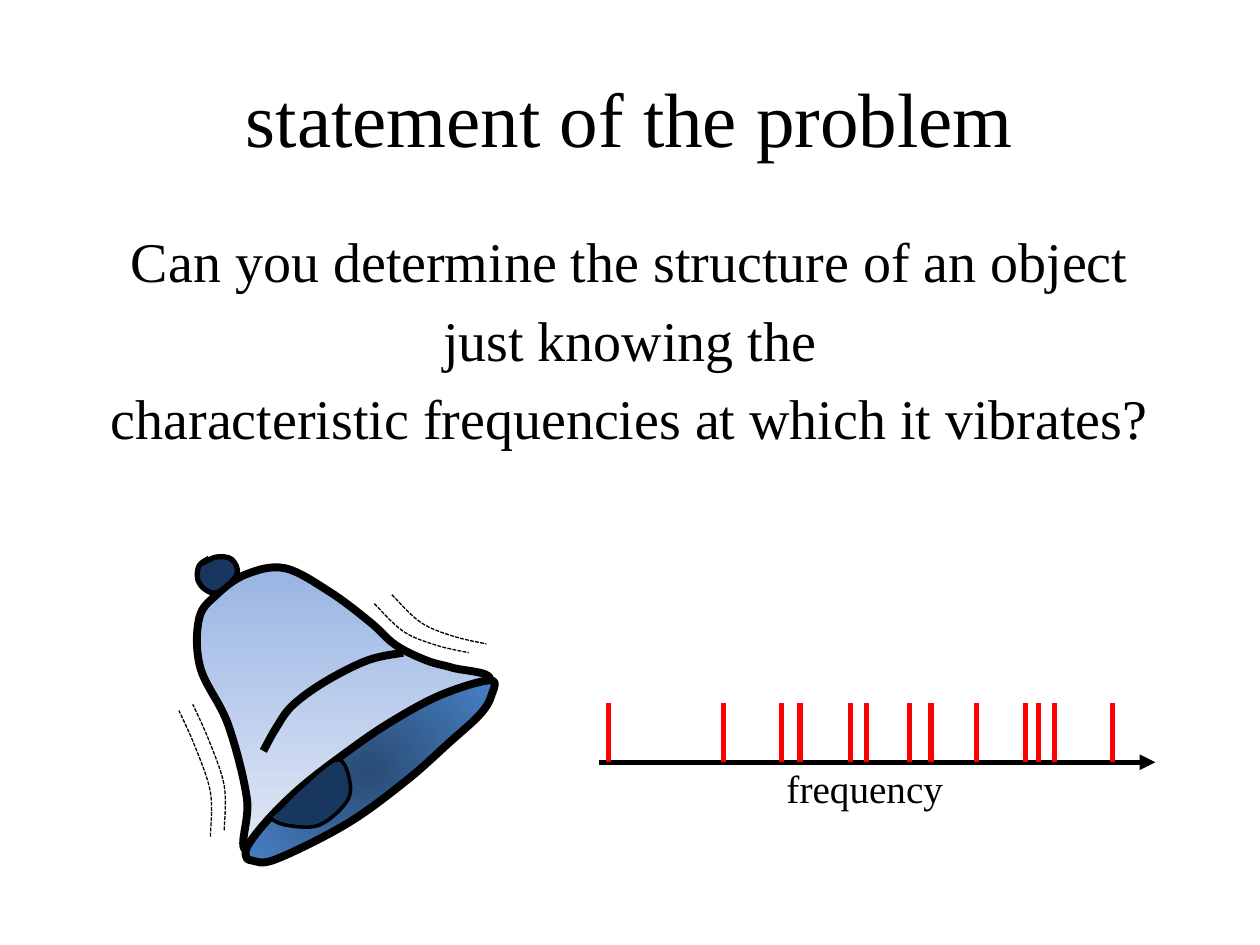
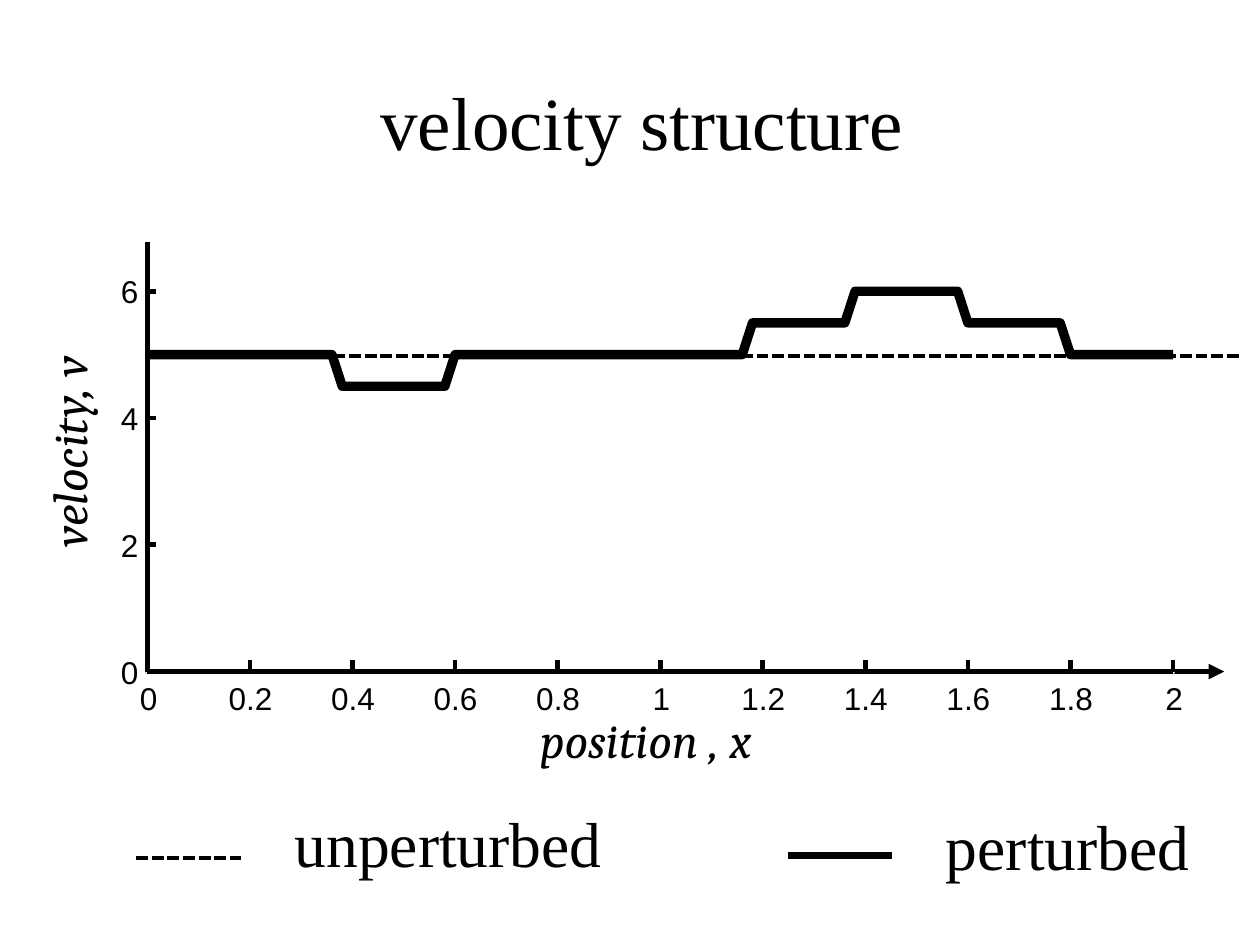
import dataclasses
import itertools

import pptx
import pptx.dml.color
import pptx.enum.dml
import pptx.enum.shapes
import pptx.enum.text
import pptx.oxml.ns
import pptx.util
from lxml import etree

ALIGN = pptx.enum.text.PP_ALIGN
ANCHOR = pptx.enum.text.MSO_ANCHOR
qn = pptx.oxml.ns.qn


@dataclasses.dataclass(frozen=True)
class Theme:
    """Colours, fonts, type sizes and line widths of both slides."""
    ink: str = "000000"
    paper: str = "FFFFFF"
    signal: str = "FF0000"
    dark: str = "17375E"
    body_gradient: tuple = ("9AB5E4", "E1E8F5")
    mouth_gradient: tuple = ("2A4C75", "4780C5")
    serif: str = "Times New Roman"
    math: str = "Cambria"
    sans: str = "Arial"
    title: float = 44
    plot_title: float = 42.9
    question: float = 32
    legend: float = 36.3
    axis_title: float = 28
    caption: float = 22.4
    tick: float = 18
    axis_line: float = 3
    tick_line: float = 2.75
    curve_line: float = 5.38
    heavy_line: float = 4.5
    dash_line: float = 2.25
    clapper_line: float = 2
    hairline: float = 0.75


THEME = Theme()


@dataclasses.dataclass(frozen=True)
class Box:
    """A rectangle in inches."""
    left: float
    top: float
    width: float
    height: float

    def point(self, x_share, y_share):
        """Return the EMU point at shares of the width and height."""
        return (pptx.util.Inches(self.left + x_share * self.width),
                pptx.util.Inches(self.top + y_share * self.height))

    def emu(self):
        """Return left, top, width and height in EMU."""
        return [pptx.util.Inches(value) for value in dataclasses.astuple(self)]


BELL = Box(1.42, 4.42, 2.54, 2.45)
BELL_GRID = (254, 245)
SPECTRUM = Box(4.75, 5.58, 4.42, 0.47)
FREQUENCIES = (0.08, 0.99, 1.45, 1.6, 2, 2.13, 2.47, 2.64, 3, 3.39, 3.49, 3.62, 4.08)
PLOT = Box(1.17, 0.32, 8.14, 5.01)
X_MAXIMUM, Y_MAXIMUM, BASE_VELOCITY = 2, 9.96, 5
VELOCITY_RUNS = ((19, 5), (11, 4.5), (29, 5), (10, 5.5), (11, 6), (10, 5.5), (11, 5))
POSITION_STEP = 0.02

BELL_BODY = ((53, 233), (54, 192), (39, 133), (17, 88), (16, 49), (30, 30), (53, 14), (84, 9),
             (120, 28), (152, 52), (172, 70), (196, 82), (217, 88), (247, 97), (217, 124),
             (149, 176), (89, 216))
BELL_KNOB = ((24, 1), (16, 7), (15, 18), (21, 26), (31, 28), (46, 14), (42, 2), (30, 0), (19, 5))
BELL_BAND = ((178, 76), (150, 82), (116, 99), (90, 118), (77, 136), (67, 154))
BELL_MOUTH = ((247, 98), (207, 110), (165, 133), (129, 158), (98, 182), (73, 206), (56, 227),
              (53, 237), (58, 241), (77, 240), (133, 212), (180, 178), (215, 147), (239, 125),
              (248, 110))
BELL_CLAPPER = ((97, 183), (80, 200), (73, 207), (86, 213), (111, 213), (132, 196), (136, 180),
                (126, 161))
WAVE_LEFT = ((36, 217), (36, 182), (24, 146), (11, 117))
WAVE_RIGHT = ((155, 37), (178, 59), (204, 70), (230, 76))


def rgb(value):
    """Turn a hex string into a colour."""
    return pptx.dml.color.RGBColor.from_string(value)


def set_all(target, formats):
    """Set each attribute named in a dict."""
    for name, value in formats.items():
        setattr(target, name, value)


def write_text(shape, lines, size, font=THEME.serif, italic=False, anchor=ANCHOR.TOP, **paragraph_format):
    """Fill a shape with formatted paragraphs."""
    frame = shape.text_frame
    frame.text = "\n".join(lines)
    set_all(frame, {"word_wrap": True, "vertical_anchor": anchor,
                    "auto_size": pptx.enum.text.MSO_AUTO_SIZE.NONE})
    for paragraph in frame.paragraphs:
        set_all(paragraph, paragraph_format)
        for run in paragraph.runs:
            set_all(run.font, {"name": font, "size": pptx.util.Pt(size), "italic": italic})
            run.font.color.rgb = rgb(THEME.ink)


def add_text(slide, box, lines, size, **formats):
    """Add a text box and return it."""
    shape = slide.shapes.add_textbox(*box.emu())
    write_text(shape, lines, size, **formats)
    return shape


def add_titled_slide(presentation, box, title, size, alignment):
    """Add a title-only slide with its title in the given box."""
    slide = presentation.slides.add_slide(presentation.slide_layouts.get_by_name("Title Only"))
    shape = slide.shapes.title
    set_all(shape, dict(zip(("left", "top", "width", "height"), box.emu())))
    write_text(shape, [title], size, anchor=ANCHOR.MIDDLE, alignment=alignment)
    return slide


def style_line(shape, width, color=THEME.ink, dashed=False, arrow=False):
    """Format an outline, with an arrowhead at its end if asked."""
    shape.line.color.rgb = rgb(color)
    shape.line.width = pptx.util.Pt(width)
    if dashed:
        shape.line.dash_style = pptx.enum.dml.MSO_LINE.SQUARE_DOT
    if arrow:
        outline = shape.element.spPr.find(qn("a:ln"))
        etree.SubElement(outline, qn("a:tailEnd"), type="triangle")


def add_line(slide, start, end, width, **formats):
    """Add a straight connector between two points."""
    connector = slide.shapes.add_connector(pptx.enum.shapes.MSO_CONNECTOR.STRAIGHT, *start, *end)
    style_line(connector, width, **formats)
    etree.SubElement(connector.element.spPr, qn("a:effectLst"))


def add_rectangle(slide, box):
    """Add an unfilled rectangle without a line."""
    shape = slide.shapes.add_shape(pptx.enum.shapes.MSO_SHAPE.RECTANGLE, *box.emu())
    shape.shadow.inherit = False
    shape.fill.background()
    shape.line.fill.background()
    return shape


def fill_solid(shape, color):
    """Fill a shape with one colour."""
    shape.fill.solid()
    shape.fill.fore_color.rgb = rgb(color)


def add_outline(slide, points, width, closed=False, **formats):
    """Add an unfilled freeform through the points."""
    builder = slide.shapes.build_freeform(*points[0])
    builder.add_line_segments(points[1:], close=closed)
    shape = builder.convert_to_shape()
    shape.shadow.inherit = False
    shape.fill.background()
    style_line(shape, width, **formats)
    return shape


def smooth_outline(shape, closed):
    """Turn the straight segments of a freeform into Catmull-Rom curves."""
    outline = shape.element.spPr.find(".//" + qn("a:path"))
    knots = [(int(point.get("x")), int(point.get("y"))) for point in outline.iter(qn("a:pt"))]
    before, after = (knots[-2], knots[1]) if closed else (knots[0], knots[-1])
    padded = [before, *knots, after]
    segments = outline.findall(qn("a:lnTo"))
    for segment, p, q, r, s in zip(segments, padded, padded[1:], padded[2:], padded[3:]):
        curve = etree.Element(qn("a:cubicBezTo"))
        first = [b + (c - a) / 6 for a, b, c in zip(p, q, r)]
        second = [c - (d - b) / 6 for b, c, d in zip(q, r, s)]
        for x, y in (first, second, r):
            etree.SubElement(curve, qn("a:pt"), x=str(round(x)), y=str(round(y)))
        outline.replace(segment, curve)


def fill_gradient(shape, colors, radial=False):
    """Fill a shape from top to bottom, or from its centre outwards."""
    shape.fill.gradient()
    shape.fill.gradient_angle = 270
    for stop, color in zip(shape.fill.gradient_stops, colors):
        stop.color.rgb = rgb(color)
    if radial:
        gradient = shape.element.spPr.find(qn("a:gradFill"))
        gradient.remove(gradient.find(qn("a:lin")))
        circle = etree.SubElement(gradient, qn("a:path"), path="circle")
        etree.SubElement(circle, qn("a:fillToRect"), l="50000", t="50000", r="50000", b="50000")


def draw_bell(slide, box):
    """Draw a ringing bell in the box."""
    columns, rows = BELL_GRID

    def curve(knots, width, shift=(0, 0), closed=False, **formats):
        """Add a smooth outline given in bell grid units."""
        points = [box.point((x + shift[0]) / columns, (y + shift[1]) / rows) for x, y in knots]
        if closed:
            points.append(points[0])
        shape = add_outline(slide, points, width, closed=closed, **formats)
        smooth_outline(shape, closed)
        return shape

    fill_gradient(curve(BELL_BODY, THEME.heavy_line, closed=True), THEME.body_gradient)
    fill_solid(curve(BELL_KNOB, THEME.axis_line), THEME.dark)
    curve(BELL_BAND, THEME.heavy_line)
    fill_gradient(curve(BELL_MOUTH, THEME.heavy_line, closed=True), THEME.mouth_gradient, radial=True)
    fill_solid(curve(BELL_CLAPPER, THEME.clapper_line, closed=True), THEME.dark)
    for wave, echo in ((WAVE_LEFT, (-11, 5)), (WAVE_RIGHT, (14, -7))):
        for shift in ((0, 0), echo):
            curve(wave, THEME.hairline, shift=shift, dashed=True)


def draw_spectrum(slide, box):
    """Draw the frequency axis with its spectral lines."""
    add_line(slide, box.point(0, 1), box.point(1, 1), THEME.axis_line, arrow=True)
    for frequency in FREQUENCIES:
        share = frequency / box.width
        add_line(slide, box.point(share, 0), box.point(share, 1), THEME.axis_line, color=THEME.signal)
    caption = Box(box.left + 0.28, box.top + box.height + 0.04, 3.67, 0.42)
    add_text(slide, caption, ["frequency"], THEME.caption, alignment=ALIGN.CENTER,
             line_spacing=0.8, space_before=pptx.util.Pt(4.5))


def draw_axes(slide, plot):
    """Draw the axis titles and the arrowed axes."""
    formats = {"font": THEME.math, "italic": True, "alignment": ALIGN.CENTER}
    add_text(slide, Box(plot.left + 2.83, plot.top + 5.26, 2.25, 0.57), ["position , x"],
             THEME.axis_title, **formats)
    vertical = add_text(slide, Box(plot.left - 2.13, plot.top + 2.98, 3, 0.57), ["velocity, v"],
                        THEME.axis_title, **formats)
    vertical.rotation = 270
    corner = [plot.point(0, 0.29), plot.point(0, 1), plot.point(1.05, 1)]
    add_outline(slide, corner, THEME.axis_line, arrow=True)


def draw_tick(slide, plot, share, end, label_box, value):
    """Draw one tick from an axis to its end, with its label."""
    add_line(slide, plot.point(*share), plot.point(*end), THEME.tick_line)
    label = add_text(slide, label_box, [f"{value:g}"], THEME.tick, font=THEME.sans)
    set_all(label.text_frame, {"margin_left": 0, "margin_right": 0, "margin_top": 0,
                               "margin_bottom": 0, "word_wrap": False})


def draw_scales(slide, plot):
    """Draw the plot frame and both scales."""
    style_line(add_rectangle(slide, plot), THEME.tick_line, color=THEME.paper)
    for end in ((1, 1), (0, 0)):
        add_line(slide, plot.point(0, 1), plot.point(*end), THEME.tick_line)
    for step in range(11):
        share = step / 10
        indent, width = (0.06, 0.24) if step % 5 == 0 else (0.17, 0.45)
        label_box = Box(plot.left + share * plot.width - indent, plot.top + plot.height + 0.06, width, 0.3)
        draw_tick(slide, plot, (share, 1), (share, 1 - 0.09 / plot.height), label_box, share * X_MAXIMUM)
    for velocity in range(0, 7, 2):
        share = 1 - velocity / Y_MAXIMUM
        label_box = Box(plot.left - 0.21, plot.top + share * plot.height - 0.15, 0.24, 0.3)
        draw_tick(slide, plot, (0, share), (0.07 / plot.width, share), label_box, velocity)


def draw_velocities(slide, plot):
    """Draw the perturbed curve and the unperturbed level."""
    velocities = itertools.chain.from_iterable([velocity] * count for count, velocity in VELOCITY_RUNS)
    points = [plot.point(index * POSITION_STEP / X_MAXIMUM, 1 - velocity / Y_MAXIMUM)
              for index, velocity in enumerate(velocities)]
    add_outline(slide, points, THEME.curve_line)
    level = 1.002 - BASE_VELOCITY / Y_MAXIMUM
    add_line(slide, plot.point(1.064, level), plot.point(0, level), THEME.dash_line, dashed=True)


def draw_legend_entry(slide, box, label, sample_top, width, dashed=False):
    """Draw a line sample and its label in the box."""
    level = sample_top / box.height
    add_line(slide, box.point(0, level), box.point(0.83 / box.width, level), width, dashed=dashed)
    label_box = Box(box.left + 1.16, box.top, box.width - 1.16, box.height)
    add_text(slide, label_box, [label], THEME.legend, anchor=ANCHOR.MIDDLE, line_spacing=0.9)


def build_problem_slide(presentation):
    """Build the slide that states the problem."""
    slide = add_titled_slide(presentation, Box(0.5, 0.3, 9, 1.25), "statement of the problem",
                             THEME.title, ALIGN.CENTER)
    question = ["Can you determine the structure of an object", "just knowing the",
                "characteristic frequencies at which it vibrates?"]
    add_text(slide, Box(0.5, 1.75, 9, 2.25), question, THEME.question,
             alignment=ALIGN.CENTER, space_before=pptx.util.Pt(6.4))
    draw_bell(slide, BELL)
    draw_spectrum(slide, SPECTRUM)


def build_velocity_slide(presentation):
    """Build the slide that plots the velocity structure."""
    slide = add_titled_slide(presentation, Box(2.92, 0.5, 4.42, 0.92), "velocity structure",
                             THEME.plot_title, ALIGN.LEFT)
    draw_axes(slide, PLOT)
    draw_legend_entry(slide, Box(6.25, 6.33, 3.4, 0.83), "perturbed", 0.46, THEME.heavy_line)
    draw_legend_entry(slide, Box(1.08, 6.31, 3.84, 0.83), "unperturbed", 0.5, THEME.dash_line, dashed=True)
    draw_scales(slide, PLOT)
    draw_velocities(slide, PLOT)
    fill_solid(add_rectangle(slide, Box(0.5, 0, 1.42, 1.92)), THEME.paper)


def main():
    """Build and save the presentation."""
    presentation = pptx.Presentation()
    presentation.slide_width = pptx.util.Inches(10)
    presentation.slide_height = pptx.util.Inches(7.5)
    build_problem_slide(presentation)
    build_velocity_slide(presentation)
    presentation.save("out.pptx")


if __name__ == "__main__":
    main()
